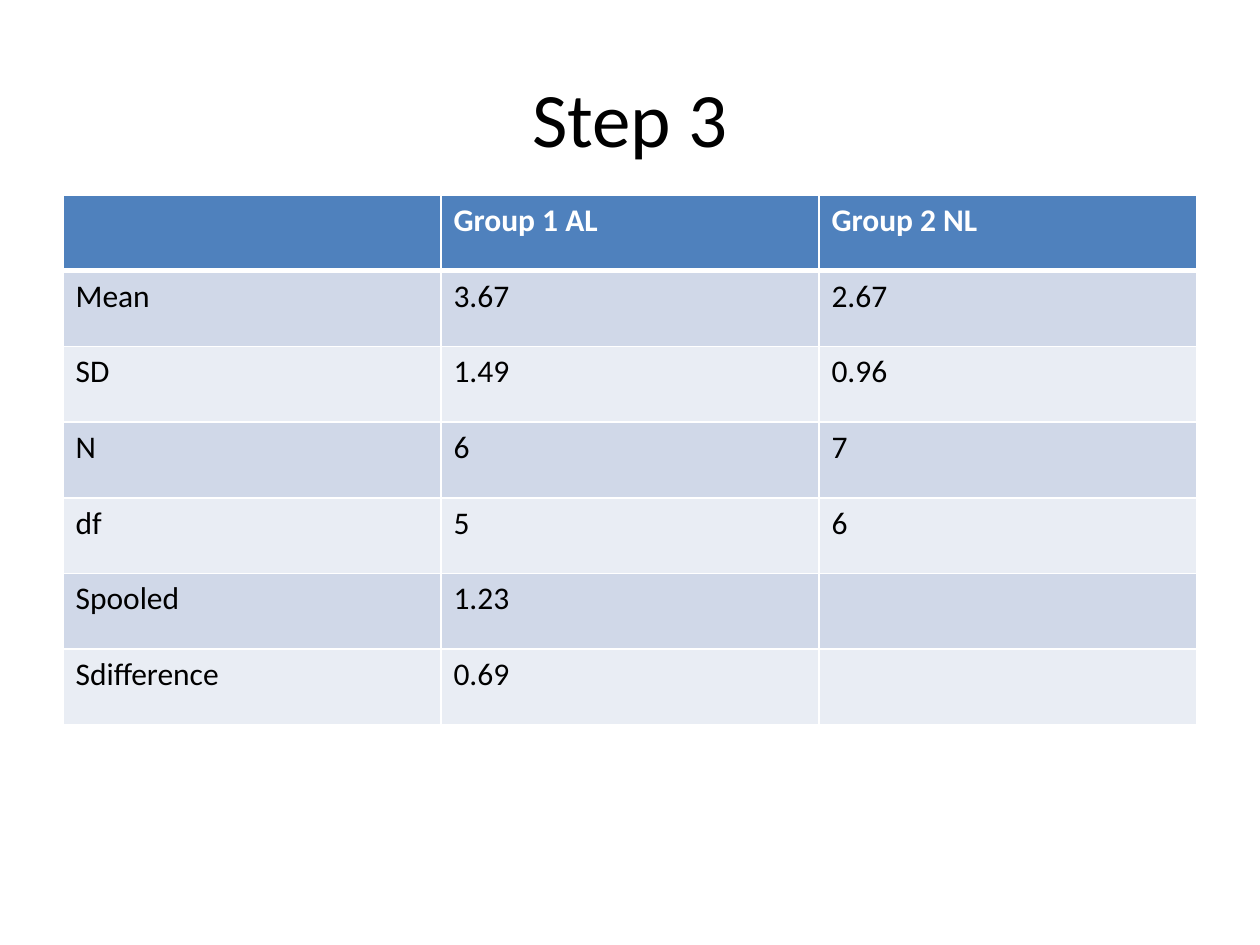
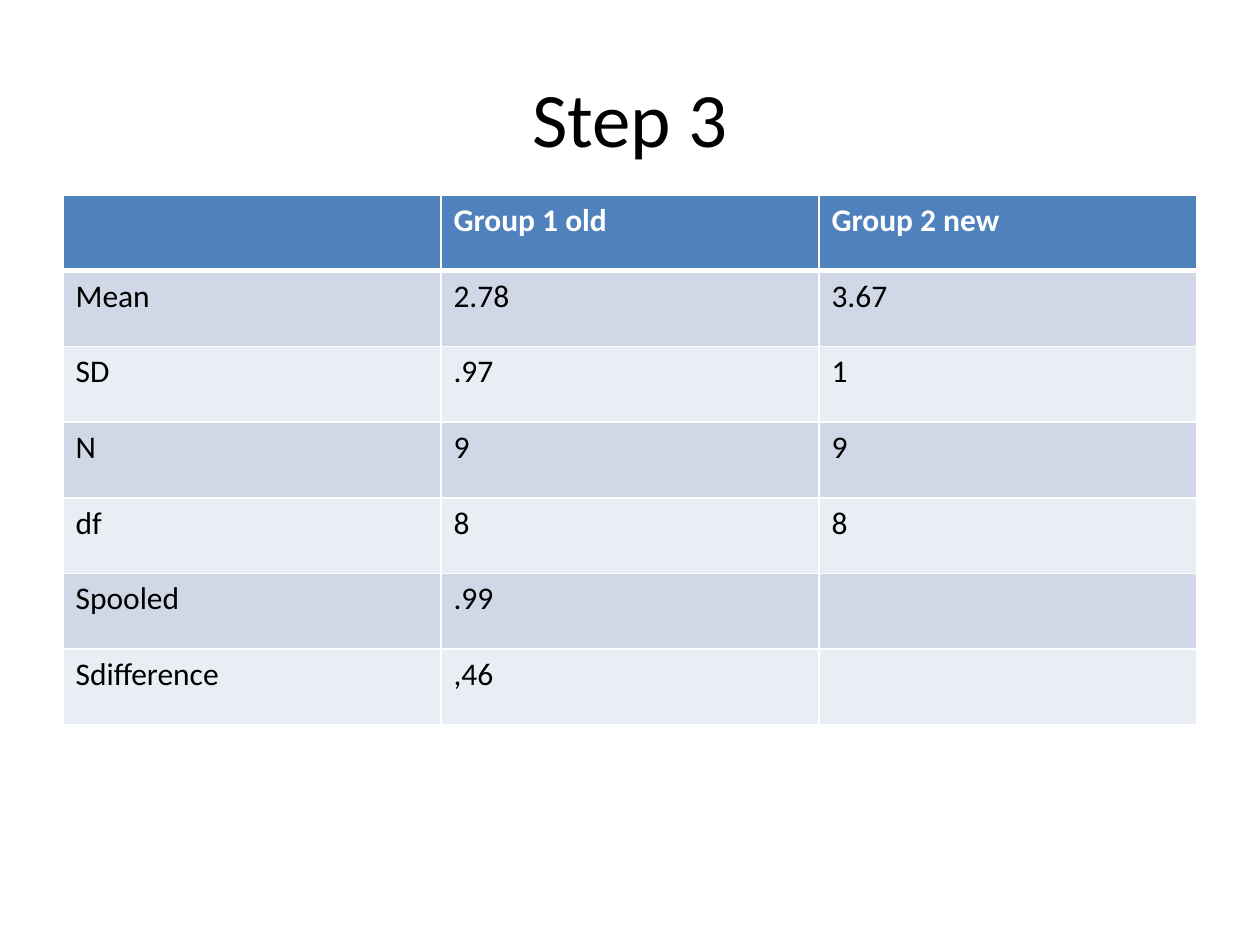
"""Build two slides that tabulate group statistics for step 3."""
from lxml import etree
from pptx import Presentation
from pptx.dml.color import RGBColor
from pptx.enum.text import MSO_ANCHOR, PP_ALIGN
from pptx.oxml.ns import qn
from pptx.util import Pt

MIDDLE = MSO_ANCHOR.MIDDLE
CENTER = PP_ALIGN.CENTER
PX = 914400 // 126
FONT = "Calibri"
BLACK, WHITE, HEADER = "000000", "FFFFFF", "4F81BD"
BANDS = ["E9EDF4", "D0D8E8"]
LEFT, WIDTH = 63 * PX, 1134 * PX
TITLE_TOP, TITLE_H = 38 * PX, 157 * PX
TABLE_TOP, TABLE_H = 195 * PX, 530 * PX

LABELS = ["", "Mean", "SD", "N", "df", "Spooled", "Sdifference"]
GROUPS = [
    (["Group 1 AL", "3.67", "1.49", "6", "5", "1.23", "0.69"],
     ["Group 2 NL", "2.67", "0.96", "7", "6", "", ""]),
    (["Group 1 old", "2.78", ".97", "9", "8", ".99", ",46"],
     ["Group 2 new", "3.67", "1", "9", "8", "", ""]),
]


def style_text(p, size, color, bold=False):
    p.font.name = FONT
    p.font.size = Pt(size)
    p.font.bold = bold
    p.font.color.rgb = RGBColor.from_string(color)
    for r in p.runs:
        r.font.name = FONT
        r.font.size = Pt(size)
        r.font.bold = bold
        r.font.color.rgb = RGBColor.from_string(color)


def add_border(cell, side, width):
    ln = etree.SubElement(cell._tc.get_or_add_tcPr(), qn(f"a:ln{side}"), w=str(Pt(width)))
    fill = etree.SubElement(ln, qn("a:solidFill"))
    etree.SubElement(fill, qn("a:srgbClr"), val=WHITE)


prs = Presentation()
prs.slide_width = 1260 * PX
prs.slide_height = 945 * PX

for first, second in GROUPS:
    s = prs.slides.add_slide(prs.slide_layouts[6])
    sp = s.shapes.add_textbox(LEFT, TITLE_TOP, WIDTH, TITLE_H)
    tf = sp.text_frame
    tf.word_wrap = True
    tf.vertical_anchor = MIDDLE
    p = tf.paragraphs[0]
    p.text = "Step 3"
    p.alignment = CENTER
    style_text(p, 44, BLACK)

    rows = list(zip(LABELS, first, second))
    table = s.shapes.add_table(len(rows), 3, LEFT, TABLE_TOP, WIDTH, TABLE_H).table
    for i, row in enumerate(rows):
        is_header = i == 0
        for j, text in enumerate(row):
            cell = table.cell(i, j)
            for side in "LRTB":
                thick = (side == "B" and is_header) or (side == "T" and i == 1)
                add_border(cell, side, 3 if thick else 1)
            cell.fill.solid()
            cell.fill.fore_color.rgb = RGBColor.from_string(HEADER if is_header else BANDS[i % 2])
            p = cell.text_frame.paragraphs[0]
            p.text = text
            style_text(p, 18, WHITE if is_header else BLACK, is_header)

prs.save("out.pptx")
